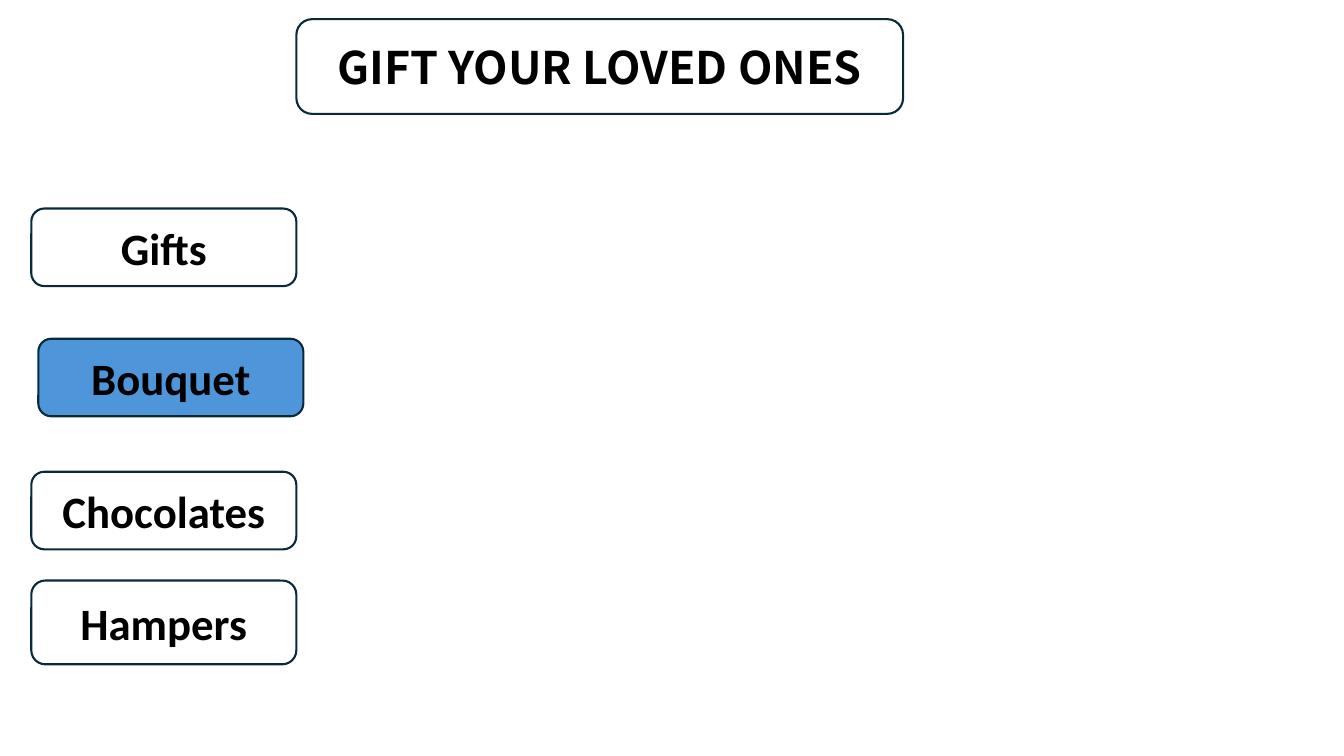
from dataclasses import dataclass

from pptx import Presentation
from pptx.dml.color import RGBColor
from pptx.enum.shapes import MSO_SHAPE
from pptx.enum.text import MSO_ANCHOR, PP_ALIGN
from pptx.util import Pt


@dataclass(frozen=True)
class Theme:
    plain: RGBColor = RGBColor(0xFF, 0xFF, 0xFF)
    selected: RGBColor = RGBColor(0x4E, 0x95, 0xD9)
    outline: RGBColor = RGBColor(0x09, 0x2A, 0x39)
    ink: RGBColor = RGBColor(0, 0, 0)
    heading_font: str = "Noto Sans CJK KR"
    menu_font: str = "Calibri"
    text_size: float = 32
    outline_width: float = 1.5


THEME = Theme()

# Label, top within the menu, height, indent, fill
MENU = [
    ("Gifts", 0, 55.4, 0, THEME.plain),
    ("Bouquet", 93, 55.4, 5, THEME.selected),
    ("Chocolates", 188, 55.4, 0, THEME.plain),
    ("Hampers", 265.7, 59.8, 0, THEME.plain),
]


def add_button(slide, box, label, font, fill):
    """Draw a rounded, outlined box with a bold centred label."""
    button = slide.shapes.add_shape(
        MSO_SHAPE.ROUNDED_RECTANGLE, *(Pt(length) for length in box))
    button.shadow.inherit = False
    button.fill.solid()
    button.fill.fore_color.rgb = fill
    button.line.color.rgb = THEME.outline
    button.line.width = Pt(THEME.outline_width)

    frame = button.text_frame
    frame.text = label
    frame.word_wrap = True
    frame.vertical_anchor = MSO_ANCHOR.MIDDLE
    paragraph = frame.paragraphs[0]
    paragraph.alignment = PP_ALIGN.CENTER
    style = paragraph.runs[0].font
    style.name = font
    style.size = Pt(THEME.text_size)
    style.bold = True
    style.color.rgb = THEME.ink


def add_heading(slide, box):
    add_button(slide, box, "GIFT YOUR LOVED ONES", THEME.heading_font, THEME.plain)


def add_menu(slide, left, top, width):
    for label, offset, height, indent, fill in MENU:
        box = (left + indent, top + offset, width, height)
        add_button(slide, box, label, THEME.menu_font, fill)


def main():
    deck = Presentation()
    deck.slide_width, deck.slide_height = Pt(960), Pt(540)
    slide = deck.slides.add_slide(deck.slide_layouts[6])
    add_heading(slide, (211.7, 13.7, 433.4, 67.7))
    add_menu(slide, left=22.4, top=149, width=189.3)
    deck.save("out.pptx")


if __name__ == "__main__":
    main()
